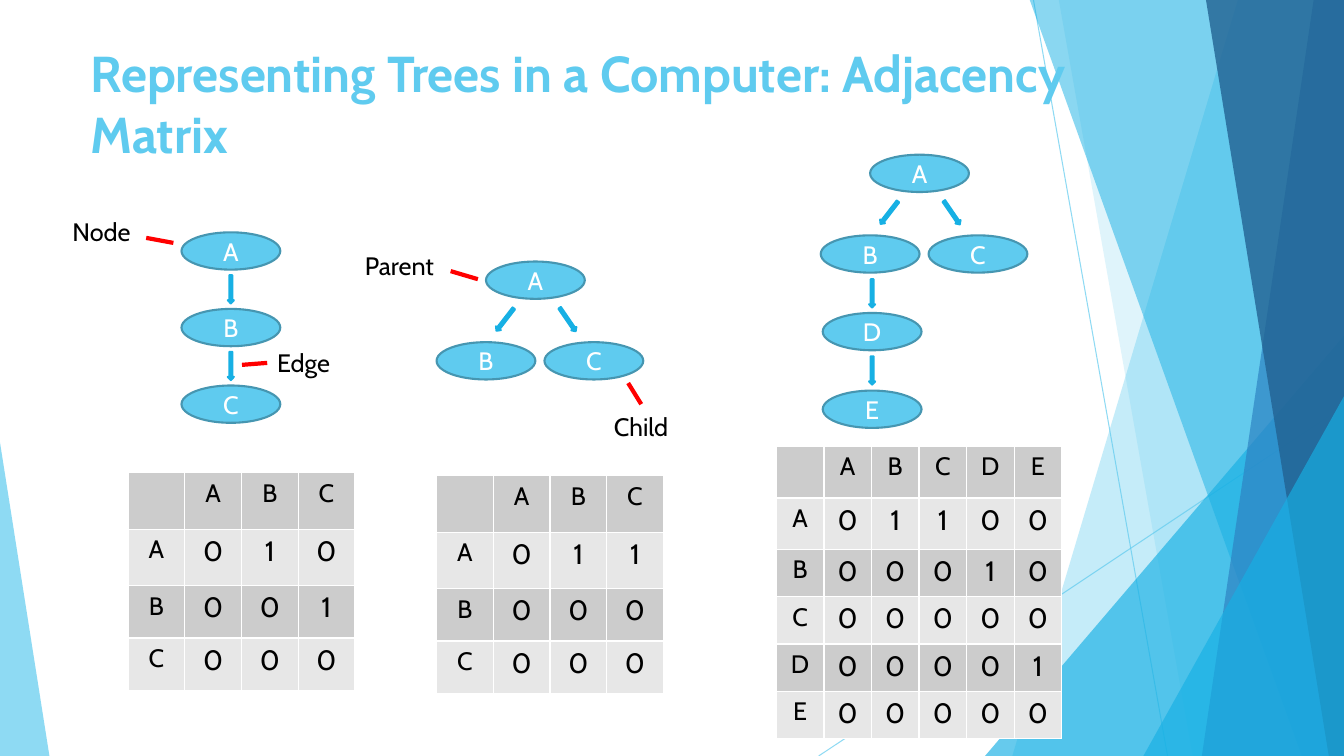
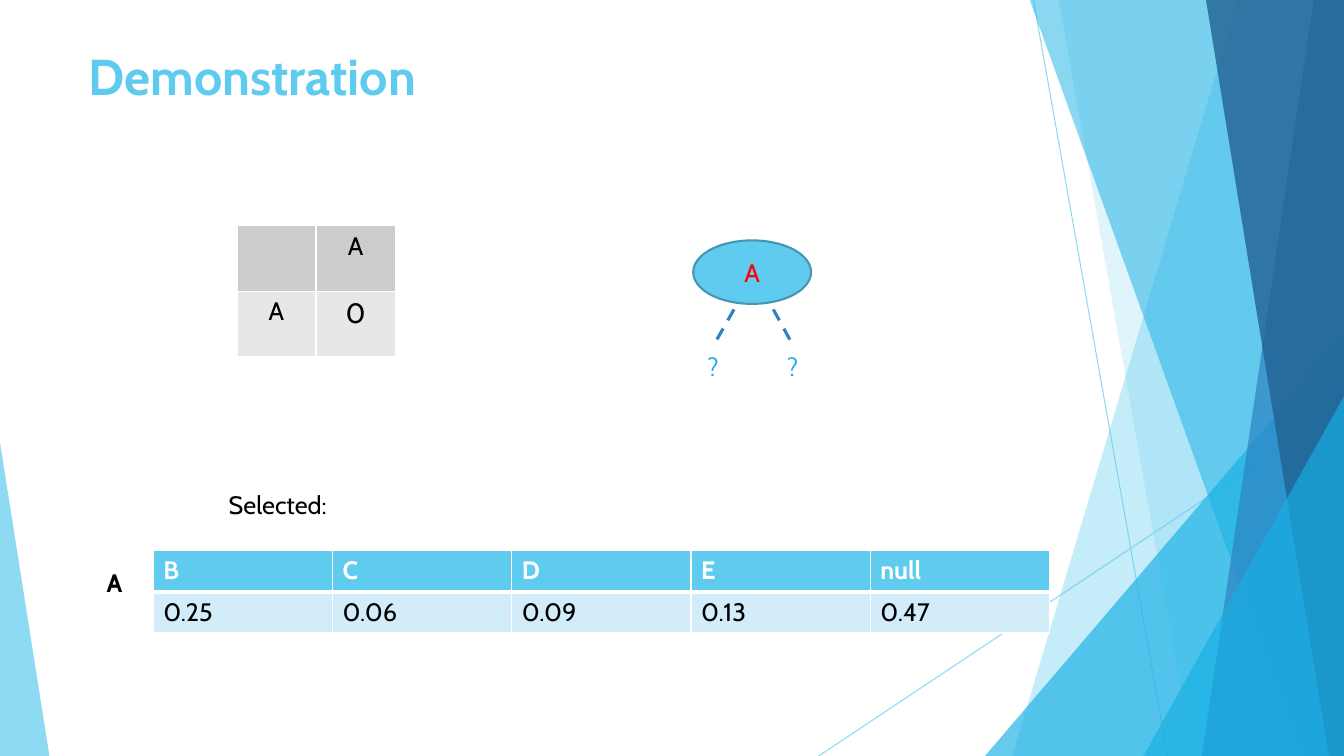
from pptx import Presentation
from pptx import util as u
from pptx.dml.color import RGBColor
from pptx.enum import dml, shapes, text
from pptx.oxml import ns, xmlchemy

WIDTH, HEIGHT = 13.33, 7.5
NODE_WIDTH, NODE_HEIGHT = 0.98, 0.37


def rgb(value):
    return RGBColor.from_string(value)


def set_alpha(shape, percent):
    """Make every solid colour of the shape partly transparent."""
    for colour in shape._element.spPr.iter(ns.qn("a:srgbClr")):
        alpha = xmlchemy.OxmlElement("a:alpha")
        alpha.set("val", str(percent * 1000))
        colour.append(alpha)


def set_borders(cell, colour, **points):
    """Draw cell borders; the keywords are the sides L, R, T and B."""
    properties = cell._tc.get_or_add_tcPr()
    for side in "LRTB":
        border = xmlchemy.OxmlElement(f"a:ln{side}")
        border.set("w", str(u.Pt(points.get(side, 1))))
        fill = xmlchemy.OxmlElement("a:solidFill")
        tint = xmlchemy.OxmlElement("a:srgbClr")
        tint.set("val", colour)
        fill.append(tint)
        border.append(fill)
        properties.append(border)


def write(frame, words, size=18, colour="000000", bold=False, align=None):
    paragraph = frame.paragraphs[0]
    paragraph.alignment = align
    paragraph.font.size = u.Pt(size)
    run = paragraph.add_run()
    run.text = words
    run.font.name = Deck.FONT
    run.font.size = u.Pt(size)
    run.font.bold = bold
    run.font.color.rgb = rgb(colour)


class Deck:
    """The style, the presentation and the slide being filled."""

    FONT = "Cabin"
    SKY, CYAN, BLUE, NAVY = "5FCBEF", "17B0E4", "2E83C3", "226292"
    OUTLINE, RED, WHITE = "4696B1", "FF0000", "FFFFFF"
    DARK_BAND, LIGHT_BAND, PALE = "CCCCCC", "E7E7E7", "D2ECF9"

    def __init__(self):
        self.presentation = Presentation()
        self.presentation.slide_width = u.Inches(WIDTH)
        self.presentation.slide_height = u.Inches(HEIGHT)
        self.slide = None

    def add_slide(self, title, left, top, width, height):
        layout = self.presentation.slide_layouts[6]
        self.slide = self.presentation.slides.add_slide(layout)
        self.backdrop()
        self.label(title, left, top, width, height, wrap=True,
                   size=36, colour=self.SKY, bold=True)

    def backdrop(self):
        for start, end in [((10.25, 0), (11.58, HEIGHT)),
                           ((WIDTH, 4.03), (8.12, HEIGHT))]:
            set_alpha(self.line(start, end, self.SKY, 0.75), 70)
        self.band(12.28, 10.04, self.SKY, 36)
        self.band(10.5, 11.83, self.SKY, 20)
        self.triangle(9.77, 3.33, 3.56, 1, self.CYAN, 66)
        self.band(10.21, 12.91, self.CYAN, 50)
        self.band(13.03, 11.92, self.BLUE, 70)
        self.band(11.96, 13.18, self.NAVY, 80)
        self.triangle(11.34, 3.93, 1.99, 1, self.CYAN, 66)
        self.triangle(0, 4.39, 0.49, 0, self.SKY, 70)

    def paint(self, shape, fill, line=None):
        shape.shadow.inherit = False
        shape.fill.solid()
        shape.fill.fore_color.rgb = rgb(fill)
        if line:
            shape.line.color.rgb = rgb(line)
            shape.line.width = u.Pt(1.5)
        else:
            shape.line.fill.background()
        return shape

    def shape(self, kind, left, top, width, height, fill, line=None):
        box = map(u.Inches, (left, top, width, height))
        return self.paint(self.slide.shapes.add_shape(kind, *box), fill, line)

    def band(self, top_x, bottom_x, colour, alpha):
        """Add a full-height band from a slanted left edge to the right side."""
        corners = [(top_x, -0.01), (WIDTH, -0.01), (WIDTH, HEIGHT), (bottom_x, HEIGHT)]
        first, *others = [(u.Inches(x), u.Inches(y)) for x, y in corners]
        builder = self.slide.shapes.build_freeform(*first)
        builder.add_line_segments(others, close=True)
        set_alpha(self.paint(builder.convert_to_shape(), colour), alpha)

    def triangle(self, left, top, width, apex, colour, alpha):
        """Add a triangle standing on the bottom edge of the slide."""
        shape = self.shape(shapes.MSO_SHAPE.ISOSCELES_TRIANGLE, left, top,
                           width, HEIGHT - top, colour)
        shape.adjustments[0] = apex
        set_alpha(shape, alpha)

    def line(self, start, end, colour, points, dash=None):
        ends = map(u.Inches, (*start, *end))
        connector = self.slide.shapes.add_connector(shapes.MSO_CONNECTOR.STRAIGHT, *ends)
        connector.line.color.rgb = rgb(colour)
        connector.line.width = u.Pt(points)
        if dash:
            connector.line.dash_style = dash
        connector._element.spPr.append(xmlchemy.OxmlElement("a:effectLst"))
        return connector

    def label(self, words, left, top, width, height=0.4, wrap=False, **style):
        box = map(u.Inches, (left, top, width, height))
        frame = self.slide.shapes.add_textbox(*box).text_frame
        frame.word_wrap = wrap
        if not wrap:
            frame.auto_size = text.MSO_AUTO_SIZE.SHAPE_TO_FIT_TEXT
        write(frame, words, **style)

    def node(self, name, x, y, width=NODE_WIDTH, height=NODE_HEIGHT, colour=WHITE):
        """Add a tree node centred on x, y."""
        shape = self.shape(shapes.MSO_SHAPE.OVAL, x - width / 2, y - height / 2,
                           width, height, self.SKY, self.OUTLINE)
        shape.text_frame.vertical_anchor = text.MSO_ANCHOR.MIDDLE
        write(shape.text_frame, name, colour=colour, align=text.PP_ALIGN.CENTER)

    def arrow(self, x, y, rotation=270):
        """Add a tree edge centred on x, y."""
        width, height = 0.28, 0.06
        shape = self.shape(shapes.MSO_SHAPE.LEFT_ARROW, x - width / 2, y - height / 2,
                           width, height, self.CYAN, self.CYAN)
        shape.adjustments[1] = 0.52
        shape.rotation = rotation

    def chain(self, names, x, y, step):
        """Add nodes one below the other, with an arrow between neighbours."""
        for index, name in enumerate(names):
            self.node(name, x, y + index * step)
            if index:
                self.arrow(x, y + (index - 0.5) * step)

    def fork(self, x, y):
        """Add parent A with its children B and C."""
        self.node("A", x, y)
        self.node("B", x - 0.49, y + 0.8)
        self.node("C", x + 0.58, y + 0.8)
        self.arrow(x - 0.3, y + 0.39, 307.7)
        self.arrow(x + 0.32, y + 0.39, 235.6)

    def table(self, left, top, width, heights, columns):
        box = map(u.Inches, (left, top, width, sum(heights)))
        table = self.slide.shapes.add_table(len(heights), columns, *box).table
        table.first_row = table.horz_banding = False
        for column in table.columns:
            column.width = u.Inches(width / columns)
        for row, height in zip(table.rows, heights):
            row.height = u.Inches(height)
        return table

    def cell(self, cell, words, fill, borders=None, **style):
        set_borders(cell, self.WHITE, **(borders or {}))
        cell.fill.solid()
        cell.fill.fore_color.rgb = rgb(fill)
        if words:
            write(cell.text_frame, words, **style)

    def matrix(self, names, edges, left, top, width, tall):
        """Add an adjacency matrix; edges are pairs such as "AB"."""
        heights = [tall] * 2 + [tall - 0.04] * (len(names) - 1)
        table = self.table(left, top, width, heights, len(names) + 1)
        rows = [["", *names]]
        rows += [[parent, *("1" if parent + child in edges else "0" for child in names)]
                 for parent in names]
        for row, values in enumerate(rows):
            for column, value in enumerate(values):
                self.cell(table.cell(row, column), value,
                          self.LIGHT_BAND if row % 2 else self.DARK_BAND,
                          size=20 if row and column else 18,
                          align=text.PP_ALIGN.CENTER)

    def probabilities(self, values, left, top, width):
        table = self.table(left, top, width, [0.41, 0.41], len(values))
        for column, (name, value) in enumerate(values.items()):
            self.cell(table.cell(0, column), name, self.SKY, {"B": 3},
                      colour=self.WHITE, bold=True)
            self.cell(table.cell(1, column), f"{value:.2f}", self.PALE, {"T": 3})


def adjacency_slide(deck):
    deck.add_slide("Representing Trees in a Computer: Adjacency Matrix",
                   0.8, 0.37, 10.19, 1.71)
    deck.matrix("ABC", ["AB", "BC"], 1.27, 4.69, 2.25, 0.56)
    deck.matrix("ABC", ["AB", "AC"], 4.33, 4.72, 2.25, 0.56)
    deck.matrix("ABCDE", ["AB", "AC", "BD", "DE"], 7.7, 4.43, 2.83, 0.51)

    deck.chain("ABC", 2.29, 2.49, 0.76)
    deck.fork(5.31, 2.78)
    deck.fork(9.12, 1.72)
    deck.chain("DE", 8.65, 3.29, 0.77)
    deck.arrow(8.65, 2.91)

    for words, left, top, width in [("Node", 0.62, 2.1, 0.78), ("Edge", 2.65, 3.4, 0.74),
                                    ("Parent", 3.52, 2.43, 0.94), ("Child", 5.99, 4.03, 0.78)]:
        deck.label(words, left, top, width)
    for start, end in [((1.45, 2.36), (1.72, 2.41)), ((2.4, 3.62), (2.65, 3.6)),
                       ((4.47, 2.69), (4.74, 2.77)), ((6.23, 3.8), (6.36, 4.01))]:
        deck.line(start, end, deck.RED, 3)


def demonstration_slide(deck):
    deck.add_slide("Demonstration", 0.78, 0.4, 8.66, 0.83)
    deck.matrix("A", [], 2.35, 2.24, 1.57, 0.65)
    deck.node("A", 7.46, 2.7, 1.17, 0.63, deck.RED)
    for start, end, left in [((7.28, 3.07), (7.07, 3.44), 6.92),
                             ((7.67, 3.07), (7.84, 3.38), 7.71)]:
        deck.line(start, end, deck.BLUE, 2.25, dml.MSO_LINE.DASH)
        deck.label("?", left, 3.44, 0.3, colour=deck.CYAN)
    deck.probabilities({"B": 0.25, "C": 0.06, "D": 0.09, "E": 0.13, "null": 0.47},
                       1.52, 5.46, 8.89)
    deck.label("A", 0.96, 5.58, 0.36, bold=True)
    deck.label("Selected:", 2.17, 4.81, 1.34)


def main():
    deck = Deck()
    adjacency_slide(deck)
    demonstration_slide(deck)
    deck.presentation.save("out.pptx")


if __name__ == "__main__":
    main()
